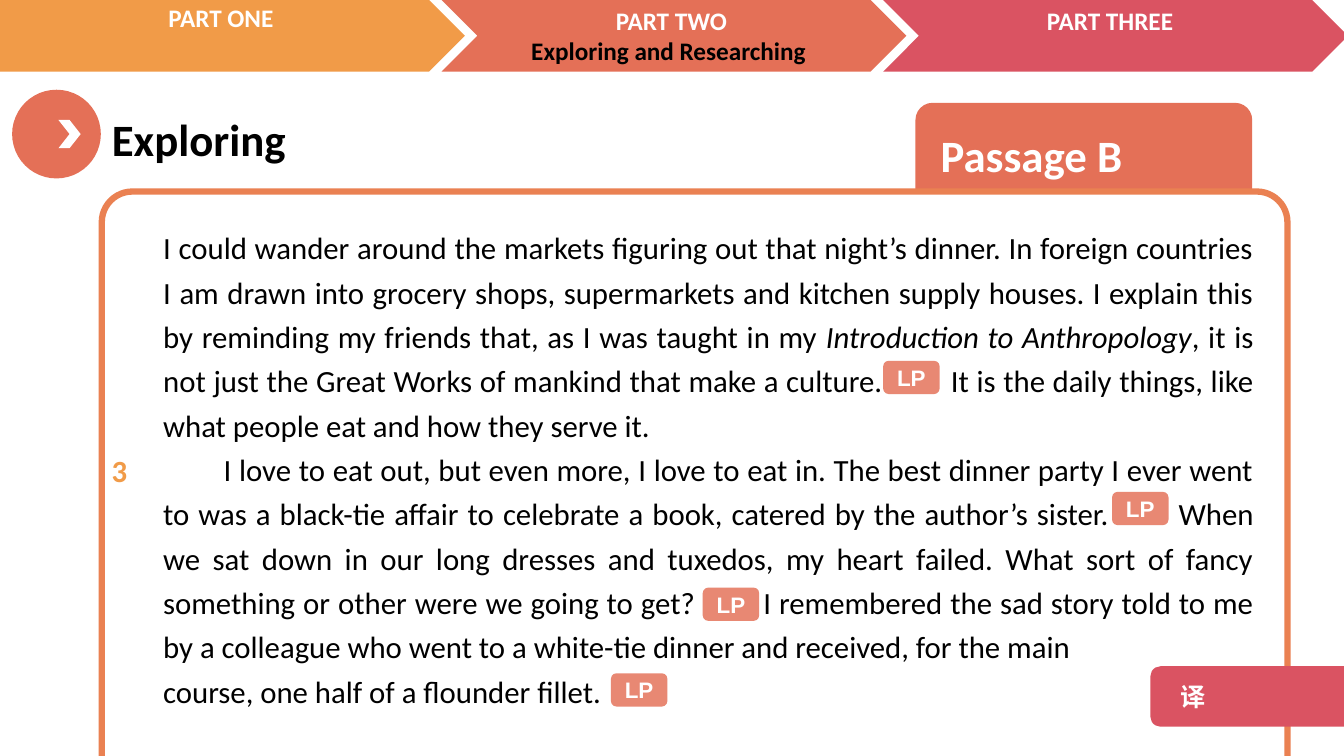
from lxml.etree import SubElement
from pptx import Presentation
from pptx.dml.color import RGBColor
from pptx.enum.shapes import MSO_SHAPE
from pptx.enum.text import MSO_ANCHOR, MSO_AUTO_SIZE, PP_ALIGN
from pptx.oxml.ns import qn
from pptx.util import Inches, Pt

WHITE = RGBColor(0xFF, 0xFF, 0xFF)
BLACK = RGBColor(0, 0, 0)
CORAL = RGBColor(0xE4, 0x70, 0x57)
ORANGE = RGBColor(0xF1, 0x9B, 0x48)
ROSE = RGBColor(0xDA, 0x53, 0x62)
FRAME = RGBColor(0xEA, 0x81, 0x52)

TITLE = "Exploring"
NAVIGATION = [
    ((4.38, 0, 4.61, 0.71), CORAL),
    ((8.76, 0, 4.61, 0.71), ROSE),
    ((-0.61, 0, 5.22, 0.71), ORANGE),
]
NAVIGATION_LABELS = [
    ((-0.06, -0.03, 4.56, 0.4), [("PART ONE ", WHITE)]),
    ((4.38, 0, 4.56, 0.71), [("PART TWO", WHITE), ("Exploring and Researching ", BLACK)]),
    ((8.73, 0, 4.56, 0.4), [("PART THREE", WHITE)]),
]
GAP = object()
BOOK_TITLE = "Introduction to Anthropology"
PASSAGE = [
    (0, [
        "I could wander around the markets figuring out that night’s dinner. "
        "In foreign countries I am drawn into grocery shops, supermarkets and kitchen "
        "supply houses. I explain this by reminding my friends that, as I was taught in my ",
        BOOK_TITLE,
        ", it is not just the Great Works of mankind that make a culture.",
        GAP,
        "It is the daily things, like what people eat and how they serve it.",
    ]),
    (0.6, [
        "I love to eat out, but even more, I love to eat in. The best dinner party I ever "
        "went to was a black-tie affair to celebrate a book, catered by the author’s sister.",
        GAP,
        "When we sat down in our long dresses and tuxedos, my heart failed. "
        "What sort of fancy something or other were we going to get?",
        GAP,
        "I remembered the sad story told to me by a colleague who went to a white-tie "
        "dinner and received, for the main",
    ]),
    (0, ["course, one half of a flounder fillet."]),
]
POINT_BUTTONS = [(11.03, 4.88), (8.76, 3.58), (6.97, 5.83), (6.06, 6.68)]


def add_run(paragraph, text, size, color, bold=True, font="Calibri"):
    run = paragraph.add_run()
    run.text = text
    run.font.name = font
    run.font.size = Pt(size)
    run.font.bold = bold
    run.font.color.rgb = color
    return run


def add_block(slide, kind, box, fill):
    shape = slide.shapes.add_shape(kind, *map(Inches, box))
    shape.shadow.inherit = False
    shape.fill.solid()
    shape.fill.fore_color.rgb = fill
    shape.line.fill.background()
    return shape


def add_text_box(slide, box):
    frame = slide.shapes.add_textbox(*map(Inches, box)).text_frame
    frame.word_wrap = True
    return frame


def add_button(slide, box, fill, text, size, font, alignment, margin):
    shape = add_block(slide, MSO_SHAPE.ROUNDED_RECTANGLE, box, fill)
    frame = shape.text_frame
    frame.vertical_anchor = MSO_ANCHOR.MIDDLE
    frame.margin_left = Inches(margin)
    frame.margin_right = 0
    paragraph = frame.paragraphs[0]
    paragraph.alignment = alignment
    run = add_run(paragraph, text, size, WHITE, font=font)
    return shape, run


def add_title(slide):
    title = slide.shapes.title
    title.left, title.top, title.width, title.height = map(Inches, (1.01, 1.06, 4.85, 0.64))
    frame = title.text_frame
    frame.word_wrap = True
    frame.auto_size = MSO_AUTO_SIZE.NONE
    frame.vertical_anchor = MSO_ANCHOR.TOP
    frame.paragraphs[0].alignment = PP_ALIGN.LEFT
    add_run(frame.paragraphs[0], TITLE, 32, BLACK)


def add_navigation(slide):
    for box, color in NAVIGATION:
        add_block(slide, MSO_SHAPE.CHEVRON, box, color)
    for box, lines in NAVIGATION_LABELS:
        frame = add_text_box(slide, box)
        for index, (text, color) in enumerate(lines):
            paragraph = frame.add_paragraph() if index else frame.paragraphs[0]
            paragraph.alignment = PP_ALIGN.CENTER
            add_run(paragraph, text, 18, color)


def add_passage(slide):
    frame = add_text_box(slide, (1.52, 2.15, 11.01, 4.98))
    for index, (indent, parts) in enumerate(PASSAGE):
        paragraph = frame.add_paragraph() if index else frame.paragraphs[0]
        paragraph.alignment = PP_ALIGN.JUSTIFY
        paragraph.line_spacing = 1.2
        properties = paragraph._p.get_or_add_pPr()
        properties.set("marL", "0")
        properties.set("indent", str(Inches(indent)))
        for part in parts:
            run = add_run(paragraph, " " if part is GAP else part, 22, BLACK, bold=False)
            run.font.italic = part == BOOK_TITLE
            if part is GAP:
                run._r.get_or_add_rPr().set("spc", "4300")


def main():
    presentation = Presentation()
    presentation.slide_width = Inches(13.33)
    presentation.slide_height = Inches(7.5)
    slide = presentation.slides.add_slide(presentation.slide_layouts[5])

    add_title(slide)
    add_navigation(slide)
    add_block(slide, MSO_SHAPE.OVAL, (0.12, 0.89, 0.88, 0.88), CORAL)
    add_block(slide, MSO_SHAPE.CHEVRON, (0.58, 1.19, 0.22, 0.28), WHITE)
    add_button(slide, (9.08, 1.02, 3.34, 1.02), CORAL, "Passage B", 32,
               "Calibri", PP_ALIGN.LEFT, 0.2)

    card = add_block(slide, MSO_SHAPE.ROUNDED_RECTANGLE, (1.01, 1.9, 11.76, 6.45), WHITE)
    card.adjustments[0] = 0.047
    card.line.color.rgb = FRAME
    card.line.width = Pt(4.5)

    add_passage(slide)
    number = add_text_box(slide, (1.01, 4.36, 0.51, 0.54)).paragraphs[0]
    number.line_spacing = 1.2
    add_run(number, "3", 22, ORANGE)

    _, translation = add_button(slide, (11.41, 6.61, 2.13, 0.6), ROSE, "译", 18,
                                "Noto Sans CJK SC", PP_ALIGN.LEFT, 0.27)
    east_asian = SubElement(translation._r.get_or_add_rPr(), qn("a:ea"))
    east_asian.set("typeface", "Noto Sans CJK SC")

    for left, top in POINT_BUTTONS:
        button, _ = add_button(slide, (left, top, 0.56, 0.33), CORAL, "LP", 16,
                               "Arial", PP_ALIGN.CENTER, 0)
        color = button.fill._xPr.find(qn("a:solidFill")).find(qn("a:srgbClr"))
        SubElement(color, qn("a:alpha")).set("val", "83000")

    presentation.save("out.pptx")


if __name__ == "__main__":
    main()
